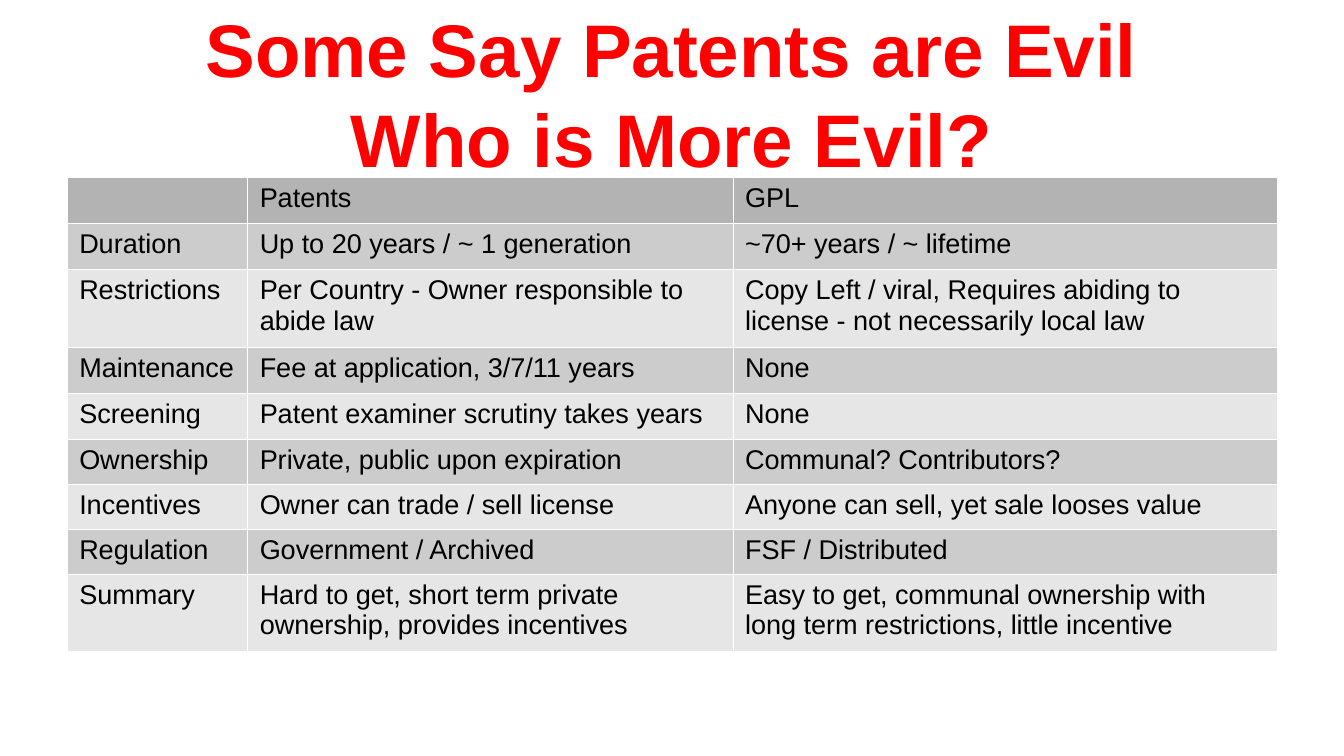
from dataclasses import dataclass

from lxml import etree
from pptx import Presentation
from pptx import util as u
from pptx.dml.color import RGBColor
from pptx.enum import text
from pptx.oxml import ns


@dataclass(frozen=True)
class Theme:
    font: str = "Arial"
    title_size: float = 44
    cell_size: float = 16
    border_width: float = 0.06
    title: str = "FF0000"
    ink: str = "000000"
    border: str = "FFFFFF"
    header: str = "B3B3B3"
    bands: tuple = ("CCCCCC", "E6E6E6")


class Deck:
    def __init__(self, theme, width, height):
        self.theme = theme
        self.prs = Presentation()
        self.prs.slide_width = u.Inches(width)
        self.prs.slide_height = u.Inches(height)
        self.s = self.prs.slides.add_slide(self.prs.slide_layouts[6])

    def style(self, p, size, color, bold=False):
        p.font.name = self.theme.font
        p.font.size = u.Pt(size)
        p.font.bold = bold
        p.font.color.rgb = RGBColor.from_string(color)

    def title(self, words, *box):
        tf = self.s.shapes.add_textbox(*map(u.Inches, box)).text_frame
        tf.word_wrap = True
        tf.vertical_anchor = text.MSO_ANCHOR.MIDDLE
        tf.margin_left = tf.margin_right = tf.margin_top = tf.margin_bottom = 0
        p = tf.paragraphs[0]
        p.text = words
        p.alignment = text.PP_ALIGN.CENTER
        self.style(p, self.theme.title_size, self.theme.title, bold=True)

    def borders(self, cell):
        tc_pr = cell._tc.get_or_add_tcPr()
        for i, side in enumerate(("lnL", "lnR", "lnT", "lnB")):
            ln = etree.Element(ns.qn(f"a:{side}"), w=str(u.Pt(self.theme.border_width)))
            fill = etree.SubElement(ln, ns.qn("a:solidFill"))
            etree.SubElement(fill, ns.qn("a:srgbClr"), val=self.theme.border)
            tc_pr.insert(i, ln)

    def cell(self, cell, words, fill):
        cell.fill.solid()
        cell.fill.fore_color.rgb = RGBColor.from_string(fill)
        cell.margin_left = cell.margin_right = u.Inches(0.1)
        cell.margin_top = cell.margin_bottom = u.Inches(0.05)
        p = cell.text_frame.paragraphs[0]
        p.text = words
        self.style(p, self.theme.cell_size, self.theme.ink)
        self.borders(cell)

    def table(self, rows, left, top, widths, heights):
        box = map(u.Inches, (left, top, sum(widths), sum(heights)))
        table = self.s.shapes.add_table(len(rows), len(widths), *box).table
        for column, width in zip(table.columns, widths):
            column.width = u.Inches(width)
        for i, (row, height) in enumerate(zip(rows, heights)):
            table.rows[i].height = u.Inches(height)
            fill = self.theme.bands[(i - 1) % 2] if i else self.theme.header
            for j, words in enumerate(row):
                self.cell(table.cell(i, j), words, fill)


COMPARISON = [
    ("", "Patents", "GPL"),
    ("Duration", "Up to 20 years / ~ 1 generation", "~70+ years / ~ lifetime"),
    ("Restrictions", "Per Country - Owner responsible to abide law",
     "Copy Left / viral, Requires abiding to license - not necessarily local law"),
    ("Maintenance", "Fee at application, 3/7/11 years", "None"),
    ("Screening", "Patent examiner scrutiny takes years", "None"),
    ("Ownership", "Private, public upon expiration", "Communal? Contributors?"),
    ("Incentives", "Owner can trade / sell license", "Anyone can sell, yet sale looses value"),
    ("Regulation", "Government / Archived", "FSF / Distributed"),
    ("Summary", "Hard to get, short term private ownership, provides incentives",
     "Easy to get, communal ownership with long term restrictions, little incentive"),
]


def main():
    deck = Deck(Theme(), 11.02, 6.2)
    deck.title("Some Say Patents are Evil\vWho is More Evil?", 0.55, 0.03, 9.92, 1.46)
    heights = [0.38, 0.38, 0.63, 0.38, 0.38, 0.36, 0.37, 0.37, 0.63]
    deck.table(COMPARISON, 0.55, 1.45, [1.48, 3.98, 4.46], heights)
    deck.prs.save("out.pptx")


if __name__ == "__main__":
    main()
